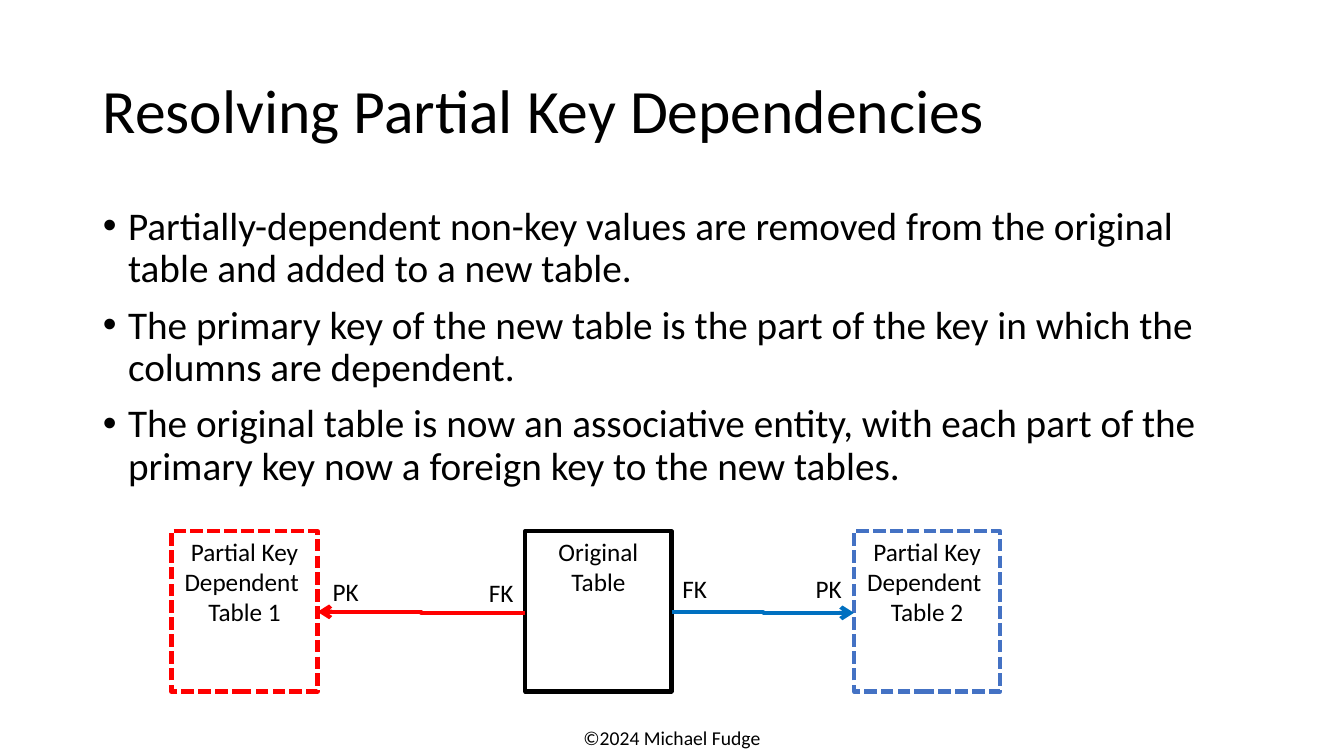
from lxml.etree import SubElement
from pptx import Presentation
from pptx.dml.color import RGBColor
from pptx.enum.dml import MSO_LINE
from pptx.enum.shapes import MSO_CONNECTOR, MSO_SHAPE
from pptx.enum.text import MSO_ANCHOR, MSO_AUTO_SIZE, PP_ALIGN
from pptx.oxml.ns import qn
from pptx.util import Pt

PX = 9144  # 100 px to the inch
RED, BLUE, NAVY, BLACK, WHITE = "FF0000", "0070C0", "4472C4", "000000", "FFFFFF"


def color(code):
    return RGBColor.from_string(code)


def write(shape, text, size, align=PP_ALIGN.LEFT, anchor=MSO_ANCHOR.TOP):
    """Fill a shape with black Calibri text."""
    frame = shape.text_frame
    frame.text = text
    frame.word_wrap = True
    frame.auto_size = MSO_AUTO_SIZE.NONE
    frame.vertical_anchor = anchor
    for par in frame.paragraphs:
        par.alignment = align
        for run in par.runs:
            run.font.name = "Calibri"
            run.font.size = Pt(size)
            run.font.color.rgb = color(BLACK)


deck = Presentation()
deck.slide_width, deck.slide_height = 1333 * PX, 750 * PX
slide = deck.slides.add_slide(deck.slide_layouts[1])
shapes = slide.shapes

# Title and list
title, body = slide.placeholders
title.left, title.top, title.width, title.height = 92 * PX, 40 * PX, 1150 * PX, 145 * PX
write(title, "Resolving Partial Key Dependencies", 44, anchor=MSO_ANCHOR.MIDDLE)
title.text_frame.paragraphs[0].line_spacing = 0.9

points = [
    "Partially-dependent non-key values are removed from the original table and added to a new table.",
    "The primary key of the new table is the part of the key in which the columns are dependent.",
    "The original table is now an associative entity, with each part of the primary key now a foreign key to the new tables.",
]
body.left, body.top, body.width, body.height = 92 * PX, 200 * PX, 1150 * PX, 510 * PX
write(body, "\n".join(points), 28)
for par in body.text_frame.paragraphs:
    par.line_spacing = 0.9
    par.space_before = Pt(10)
    props = par._p.get_or_add_pPr()
    props.set("marL", str(25 * PX))
    props.set("indent", str(-25 * PX))
    SubElement(props, qn("a:buFont")).set("typeface", "Arial")
    SubElement(props, qn("a:buChar")).set("char", "•")

# Tables
tables = [
    (521, "Original\vTable", BLACK, MSO_LINE.SOLID),
    (847, "Partial Key\nDependent \nTable 2", NAVY, MSO_LINE.SQUARE_DOT),
    (170, "Partial Key\nDependent \nTable 1", RED, MSO_LINE.SQUARE_DOT),
]
for left, text, edge, dash in tables:
    box = shapes.add_shape(MSO_SHAPE.RECTANGLE, left * PX, 527 * PX, 145 * PX, 159 * PX)
    box.shadow.inherit = False
    box.fill.solid()
    box.fill.fore_color.rgb = color(WHITE)
    box.line.color.rgb = color(edge)
    box.line.width = Pt(3)
    box.line.dash_style = dash
    write(box, text, 18, PP_ALIGN.CENTER)

# Arrows from the foreign keys to the primary keys
for x1, y1, x2, y2, hue in [(667, 607, 847, 608, BLUE), (521, 608, 315, 607, RED)]:
    arrow = shapes.add_connector(MSO_CONNECTOR.ELBOW, x1 * PX, y1 * PX, x2 * PX, y2 * PX)
    arrow.line.color.rgb = color(hue)
    arrow.line.width = Pt(3)
    SubElement(arrow.line._get_or_add_ln(), qn("a:tailEnd")).set("type", "arrow")
    SubElement(arrow._element.spPr, qn("a:effectLst"))

# Key labels and footer
labels = [
    (799, 564, 58, "PK", 18, PP_ALIGN.LEFT),
    (667, 564, 70, "FK", 18, PP_ALIGN.LEFT),
    (320, 567, 58, "PK", 18, PP_ALIGN.LEFT),
    (475, 568, 70, "FK", 18, PP_ALIGN.LEFT),
    (567, 715, 199, "©2024 Michael Fudge", 14, PP_ALIGN.CENTER),
]
for left, top, width, text, size, align in labels:
    label = shapes.add_textbox(left * PX, top * PX, width * PX, (size * 2 + 4) * PX)
    write(label, text, size, align)

deck.save("out.pptx")
